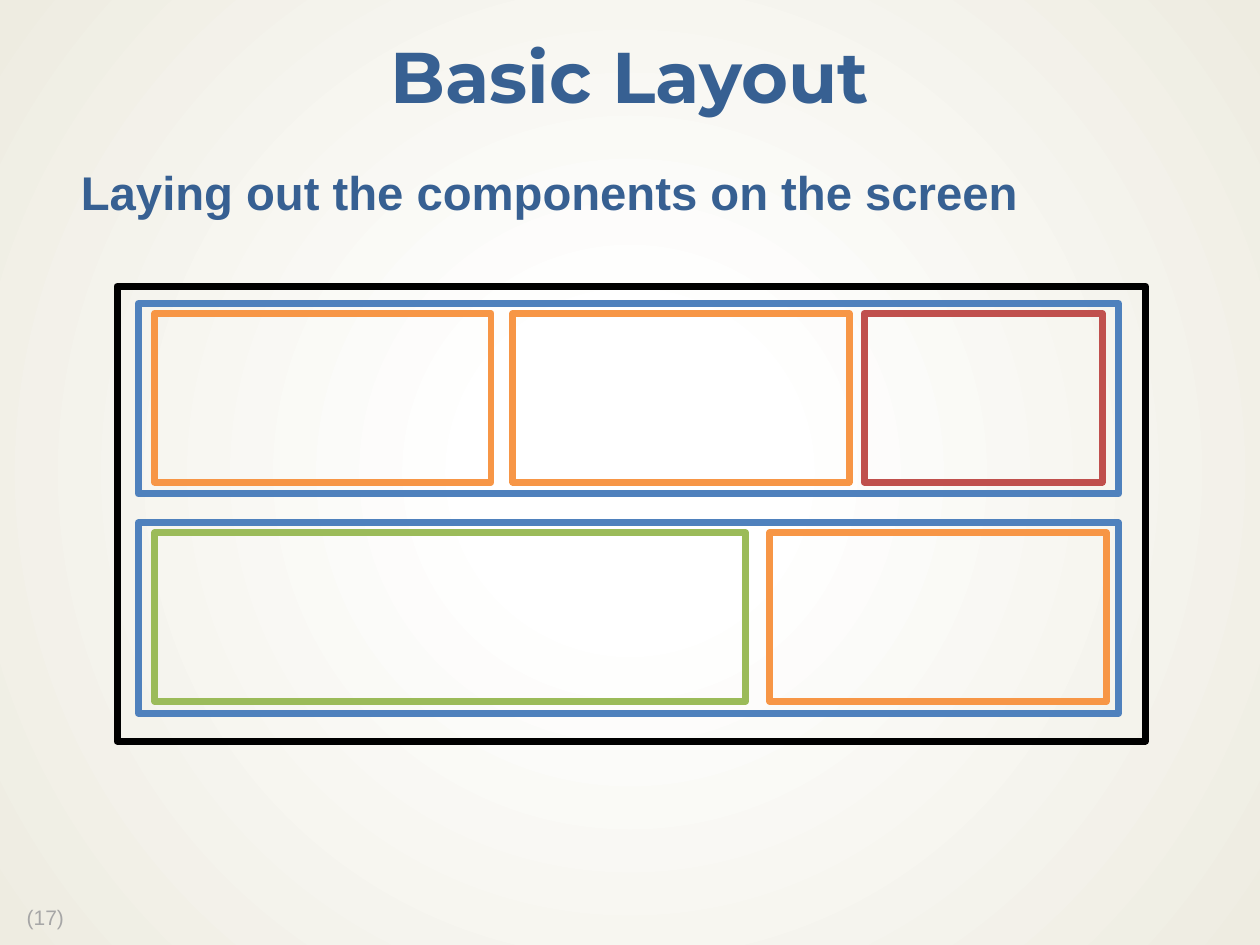
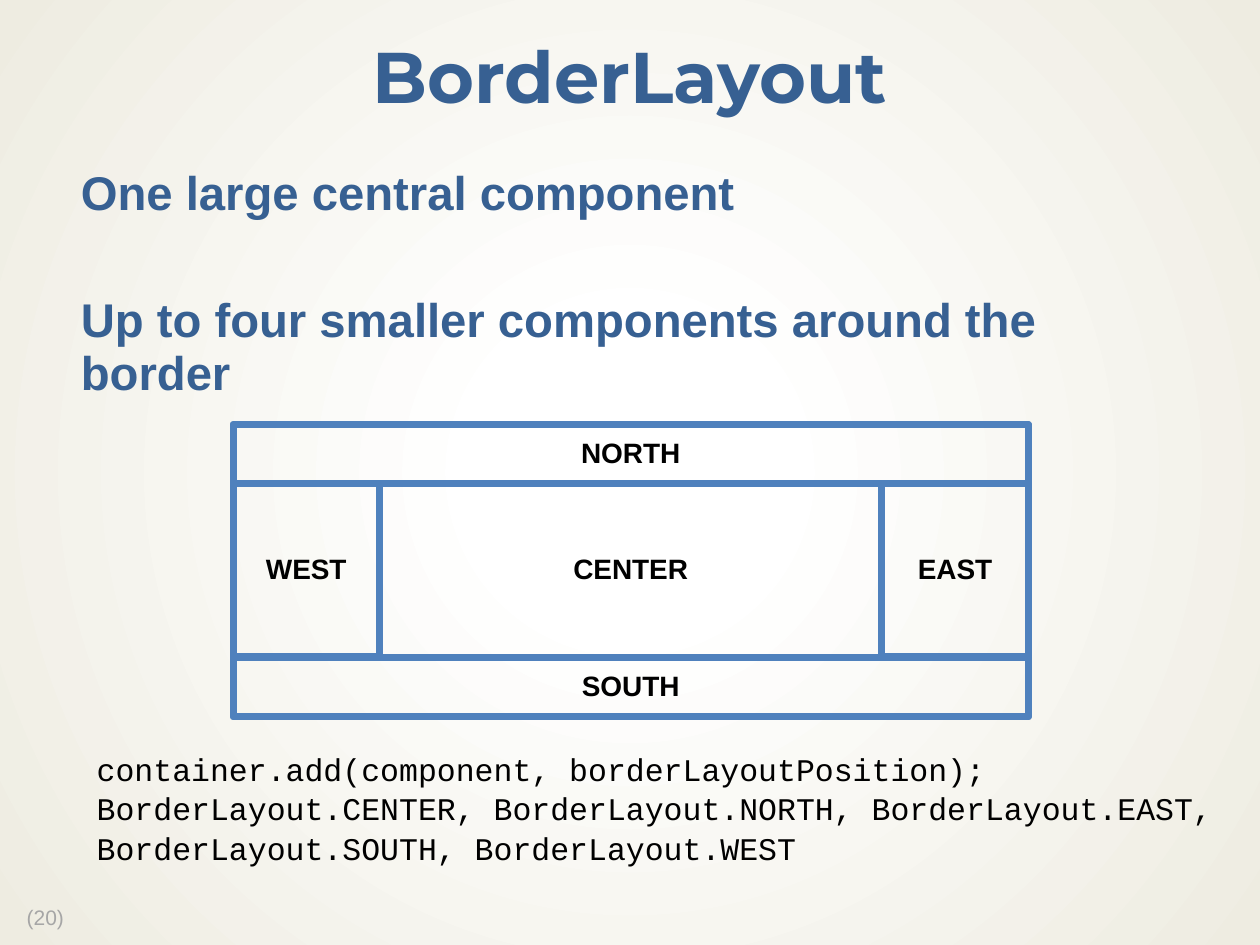
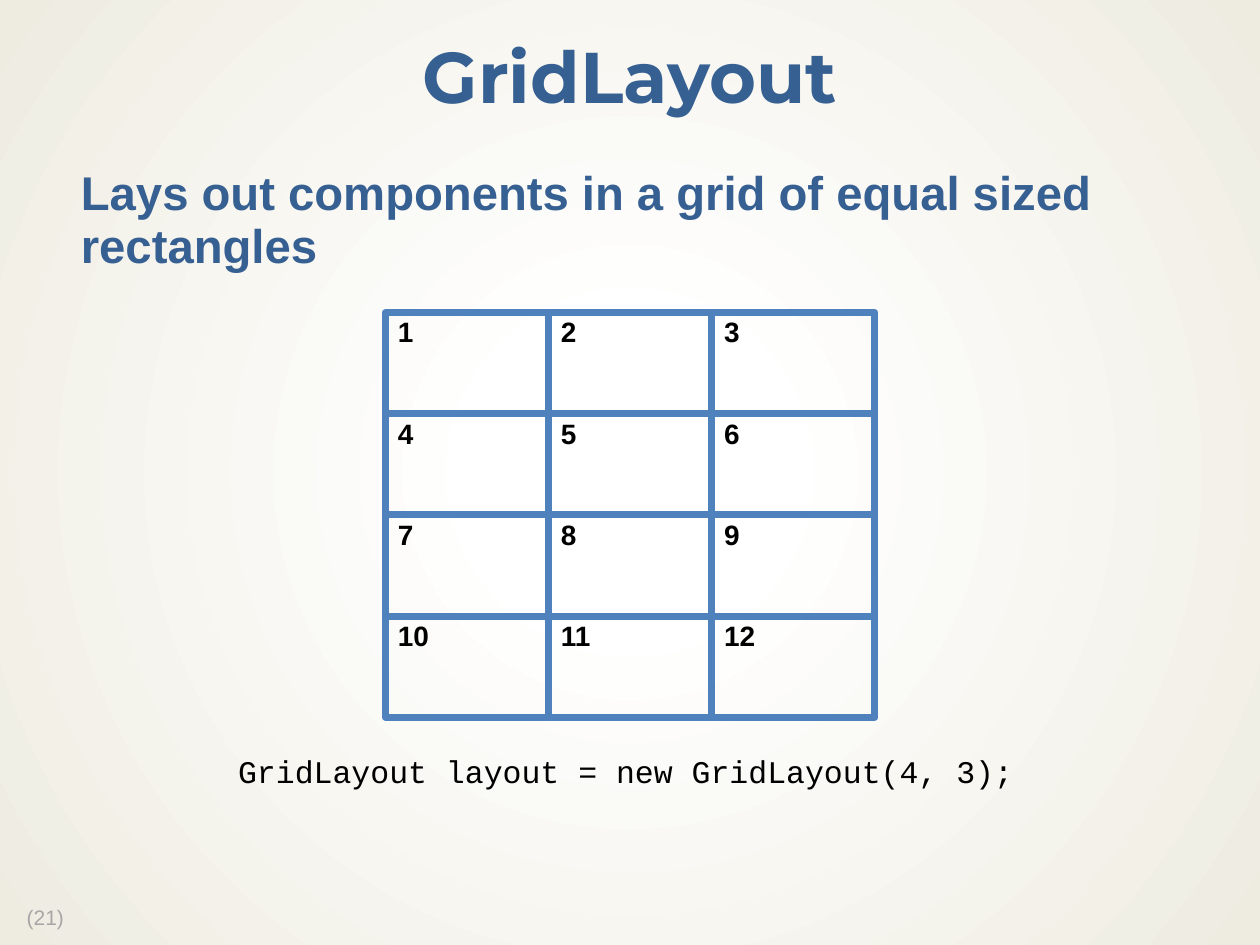
import pptx
import pptx.dml.color
import pptx.enum.shapes
import pptx.enum.text
import pptx.oxml
import pptx.util

Cm = pptx.util.Cm
Pt = pptx.util.Pt
RGBColor = pptx.dml.color.RGBColor
PP_ALIGN = pptx.enum.text.PP_ALIGN
MSO_ANCHOR = pptx.enum.text.MSO_ANCHOR

NAVY = RGBColor(0x37, 0x60, 0x92)
BLUE = RGBColor(0x4F, 0x81, 0xBD)
ORANGE = RGBColor(0xF7, 0x96, 0x46)
GREEN = RGBColor(0x9B, 0xBB, 0x59)
RED = RGBColor(0xC0, 0x50, 0x4D)
BLACK = RGBColor(0x00, 0x00, 0x00)
WHITE = RGBColor(0xFF, 0xFF, 0xFF)
GRAY = RGBColor(0xA6, 0xA6, 0xA6)
CREAM = RGBColor(0xEE, 0xEC, 0xE1)


def add_frame(slide, left, top, width, height, color, text="",
              alignment=PP_ALIGN.CENTER, anchor=MSO_ANCHOR.MIDDLE):
    shape = slide.shapes.add_shape(
        pptx.enum.shapes.MSO_SHAPE.RECTANGLE, Cm(left), Cm(top), Cm(width), Cm(height))
    shape.shadow.inherit = False
    shape.fill.background()
    shape.line.color.rgb = color
    shape.line.width = Pt(4)
    if text:
        shape.text_frame.text = text
        shape.text_frame.vertical_anchor = anchor
        paragraph = shape.text_frame.paragraphs[0]
        paragraph.alignment = alignment
        paragraph.line_spacing = 0.9
        paragraph.font.name = "Arial"
        paragraph.font.size = Pt(16)
        paragraph.font.bold = True
        paragraph.font.color.rgb = BLACK


def add_text(slide, left, top, width, height, text, font_name, size, color, line_spacing):
    text_box = slide.shapes.add_textbox(Cm(left), Cm(top), Cm(width), Cm(height))
    text_box.text_frame.word_wrap = True
    text_box.text_frame.text = text
    for paragraph in text_box.text_frame.paragraphs:
        paragraph.line_spacing = line_spacing
        paragraph.font.name = font_name
        paragraph.font.size = Pt(size)
        paragraph.font.color.rgb = color


presentation = pptx.Presentation()
presentation.slide_width = Cm(25.4)
presentation.slide_height = Cm(19.05)

background_fill = presentation.slide_master.background.fill
background_fill.gradient()
for stop, position, color in zip(background_fill.gradient_stops, (0.18, 1), (WHITE, CREAM)):
    stop.position = position
    stop.color.rgb = color
namespace = "http://schemas.openxmlformats.org/drawingml/2006/main"
linear = next(presentation.slide_master.element.iter(f"{{{namespace}}}lin"))
linear.getparent().replace(linear, pptx.oxml.parse_xml(
    f'<a:path xmlns:a="{namespace}" path="circle">'
    '<a:fillToRect l="50000" t="50000" r="50000" b="50000"/></a:path>'))

slide_texts = [
    (17, "Basic Layout", ["Laying out the components on the screen"]),
    (20, "BorderLayout", ["One large central component",
                          "Up to four smaller components around the border"]),
    (21, "GridLayout", ["Lays out components in a grid of equal sized rectangles"]),
]
slides = []
for number, heading, points in slide_texts:
    slide = presentation.slides.add_slide(presentation.slide_layouts[1])
    slides.append(slide)
    add_text(slide, 0.29, 18.16, 1.42, 0.71, f"({number})", "Arial", 12, GRAY, 0.9)

    title = slide.shapes.title
    title.left, title.top, title.width, title.height = Cm(0), Cm(0.43), Cm(25.4), Cm(2.39)
    title.text_frame.text = heading
    title.text_frame.vertical_anchor = MSO_ANCHOR.MIDDLE
    paragraph = title.text_frame.paragraphs[0]
    paragraph.alignment = PP_ALIGN.CENTER
    paragraph.line_spacing = 0.9
    paragraph.font.name = "Montserrat"
    paragraph.font.size = Pt(41)
    paragraph.font.bold = True
    paragraph.font.color.rgb = NAVY

    body = slide.placeholders[1]
    body.left, body.top, body.width, body.height = Cm(0.97), Cm(3.23), Cm(23.5), Cm(14.35)
    body.text_frame.text = "\n".join(points)
    body.text_frame.auto_size = pptx.enum.text.MSO_AUTO_SIZE.NONE
    body.text_frame.margin_left = body.text_frame.margin_right = Cm(0.3)
    body.text_frame.margin_top = body.text_frame.margin_bottom = Cm(0.15)
    for index, paragraph in enumerate(body.text_frame.paragraphs):
        properties = paragraph._p.get_or_add_pPr()
        properties.set("marL", str(Cm(0.36)))
        properties.set("indent", "0")
        properties.append(pptx.oxml.parse_xml(f'<a:buNone xmlns:a="{namespace}"/>'))
        paragraph.space_before = Pt(42 if index else 0)
        paragraph.line_spacing = 0.94
        paragraph.font.name = "Arial"
        paragraph.font.size = Pt(27)
        paragraph.font.bold = True
        paragraph.font.color.rgb = NAVY

basic_slide, border_slide, grid_slide = slides

add_frame(basic_slide, 2.36, 5.77, 20.73, 9.17, BLACK)
panel_rows = [
    (6.12, [(3.12, 6.78, ORANGE), (10.34, 6.78, ORANGE), (17.42, 4.8, RED)]),
    (10.54, [(3.12, 11.91, GREEN), (15.52, 6.78, ORANGE)]),
]
for row_top, components in panel_rows:
    add_frame(basic_slide, 2.79, row_top, 19.76, 3.84, BLUE)
    for left, width, color in components:
        add_frame(basic_slide, left, row_top + 0.2, width, 3.4, color)

border_regions = [
    ("CENTER", 4.7, 8.56, 16.03, 5.89),
    ("NORTH", 4.7, 8.56, 16.03, 1.19),
    ("SOUTH", 4.7, 13.26, 16.03, 1.19),
    ("WEST", 4.7, 9.75, 2.95, 3.48),
    ("EAST", 17.78, 9.75, 2.95, 3.48),
]
for name, left, top, width, height in border_regions:
    add_frame(border_slide, left, top, width, height, BLUE, name)
border_code = """container.add(component, borderLayoutPosition);
BorderLayout.CENTER, BorderLayout.NORTH, BorderLayout.EAST,
BorderLayout.SOUTH, BorderLayout.WEST"""
add_text(border_slide, 1.7, 14.95, 23.22, 2.57, border_code, "Courier New", 18, BLACK, 1.05)

cell_width, cell_height = 3.29, 2.04
for index in range(12):
    row, column = divmod(index, 3)
    add_frame(grid_slide, 7.77 + column * cell_width, 6.3 + row * cell_height,
              cell_width, cell_height, BLUE, str(index + 1), PP_ALIGN.LEFT, MSO_ANCHOR.TOP)
add_text(grid_slide, 4.55, 15, 16.28, 1.02, "GridLayout layout = new GridLayout(4, 3);",
         "Courier New", 18, BLACK, 1.05)

presentation.save("out.pptx")
